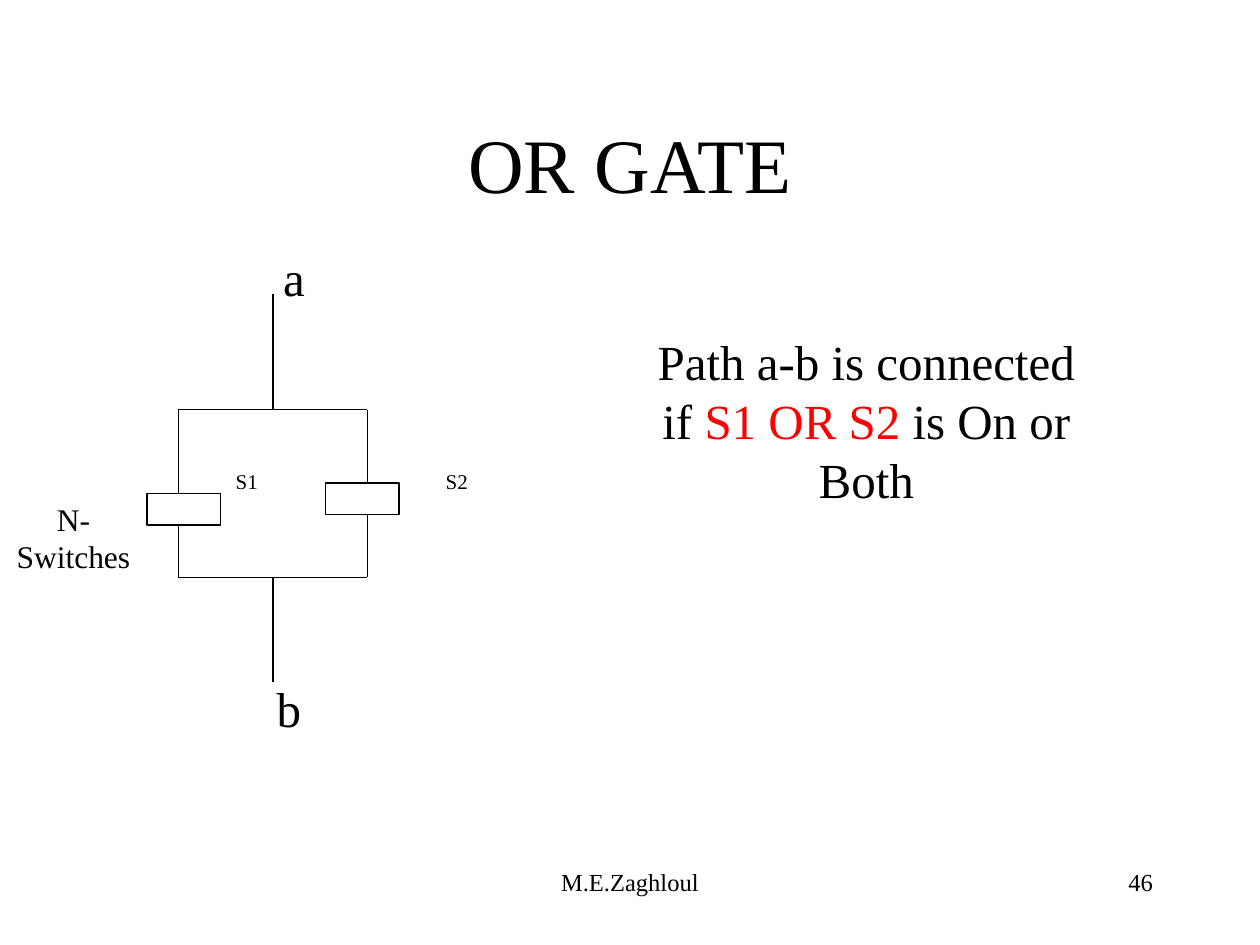
from dataclasses import dataclass

from lxml import etree
from pptx import Presentation
from pptx import util as u
from pptx.dml.color import RGBColor
from pptx.enum import shapes, text
from pptx.oxml.ns import qn


@dataclass(frozen=True)
class Theme:
    """Colours, font, type sizes and line weight of the slide."""
    ink: RGBColor = RGBColor(0, 0, 0)
    paper: RGBColor = RGBColor(255, 255, 255)
    accent: RGBColor = RGBColor(255, 0, 0)
    font: str = "Times New Roman"
    title: int = 44
    body: int = 28
    note: int = 18
    footer: int = 14
    label: int = 12
    wire: float = 0.75


THEME = Theme()
CENTER, RIGHT = text.PP_ALIGN.CENTER, text.PP_ALIGN.RIGHT
TOP, MIDDLE = text.MSO_ANCHOR.TOP, text.MSO_ANCHOR.MIDDLE


def apply(target, values):
    """Set every attribute named in values on target."""
    for attribute, value in values.items():
        setattr(target, attribute, value)


def add_words(slide, box, runs, size, align=CENTER, anchor=TOP, grow=False):
    """Add one paragraph of (words, colour) runs in a wrapping text box."""
    frame = slide.shapes.add_textbox(*map(u.Pt, box)).text_frame
    fit = text.MSO_AUTO_SIZE
    apply(frame, {
        "word_wrap": True,
        "vertical_anchor": anchor,
        "auto_size": fit.SHAPE_TO_FIT_TEXT if grow else fit.NONE,
    })
    paragraph = frame.paragraphs[0]
    paragraph.alignment = align
    if grow:
        paragraph.space_before = u.Pt(size * 0.625)
    for words, colour in runs:
        run = paragraph.add_run()
        run.text = words
        apply(run.font, {"name": THEME.font, "size": u.Pt(size)})
        run.font.color.rgb = colour


def add_wire(slide, start, end):
    """Draw a straight wire between two points."""
    wire = slide.shapes.add_connector(
        shapes.MSO_CONNECTOR.STRAIGHT, *map(u.Pt, (*start, *end)))
    wire.line.color.rgb = THEME.ink
    wire.line.width = u.Pt(THEME.wire)
    etree.SubElement(wire._element.spPr, qn("a:effectLst"))


def add_switch(slide, left, top, width, height):
    """Draw a switch as an outlined box."""
    switch = slide.shapes.add_shape(
        shapes.MSO_SHAPE.RECTANGLE, *map(u.Pt, (left, top, width, height)))
    switch.shadow.inherit = False
    switch.fill.solid()
    switch.fill.fore_color.rgb = THEME.paper
    switch.line.color.rgb = THEME.ink
    switch.line.width = u.Pt(THEME.wire)


def add_circuit(slide):
    """Draw two parallel switches between terminals a and b."""
    left, right, upper, lower = 102, 210, 234, 330
    middle = (left + right) / 2
    width, height = 42, 18
    add_wire(slide, (middle, 168), (middle, upper))
    add_wire(slide, (middle, lower), (middle, 390))
    for rail in (upper, lower):
        add_wire(slide, (left, rail), (right, rail))
    for branch, switch_left, switch_top in ((left, 84, 282), (right, 186, 276)):
        add_wire(slide, (branch, upper), (branch, switch_top))
        add_wire(slide, (branch, switch_top + height), (branch, lower))
        add_switch(slide, switch_left, switch_top, width, height)


def main():
    """Build the OR gate slide."""
    deck = Presentation()
    apply(deck, {"slide_width": u.Pt(720), "slide_height": u.Pt(540)})
    slide = deck.slides.add_slide(deck.slide_layouts[6])
    ink = THEME.ink

    add_words(slide, (246, 492, 228, 36), [("M.E.Zaghloul", ink)], THEME.footer)
    add_words(slide, (516, 492, 150, 36), [("46", ink)], THEME.footer, RIGHT)
    add_words(slide, (54, 48, 612, 90), [("OR GATE", ink)], THEME.title,
              anchor=MIDDLE)
    add_circuit(slide)

    labels = (
        ("N-Switches", (0, 282, 84, 50.4), THEME.note),
        ("a", (138, 138, 60, 41), THEME.body),
        ("b", (138, 384, 54, 41), THEME.body),
        ("S1", (126, 264, 30, 21.6), THEME.label),
        ("S2", (240, 264, 42, 21.6), THEME.label),
    )
    for words, box, size in labels:
        add_words(slide, box, [(words, ink)], size, grow=True)
    rule = [("Path a-b is connected if ", ink), ("S1 OR S2", THEME.accent),
            (" is On or Both", ink)]
    add_words(slide, (360, 186, 270, 108), rule, THEME.body, grow=True)
    deck.save("out.pptx")


if __name__ == "__main__":
    main()
